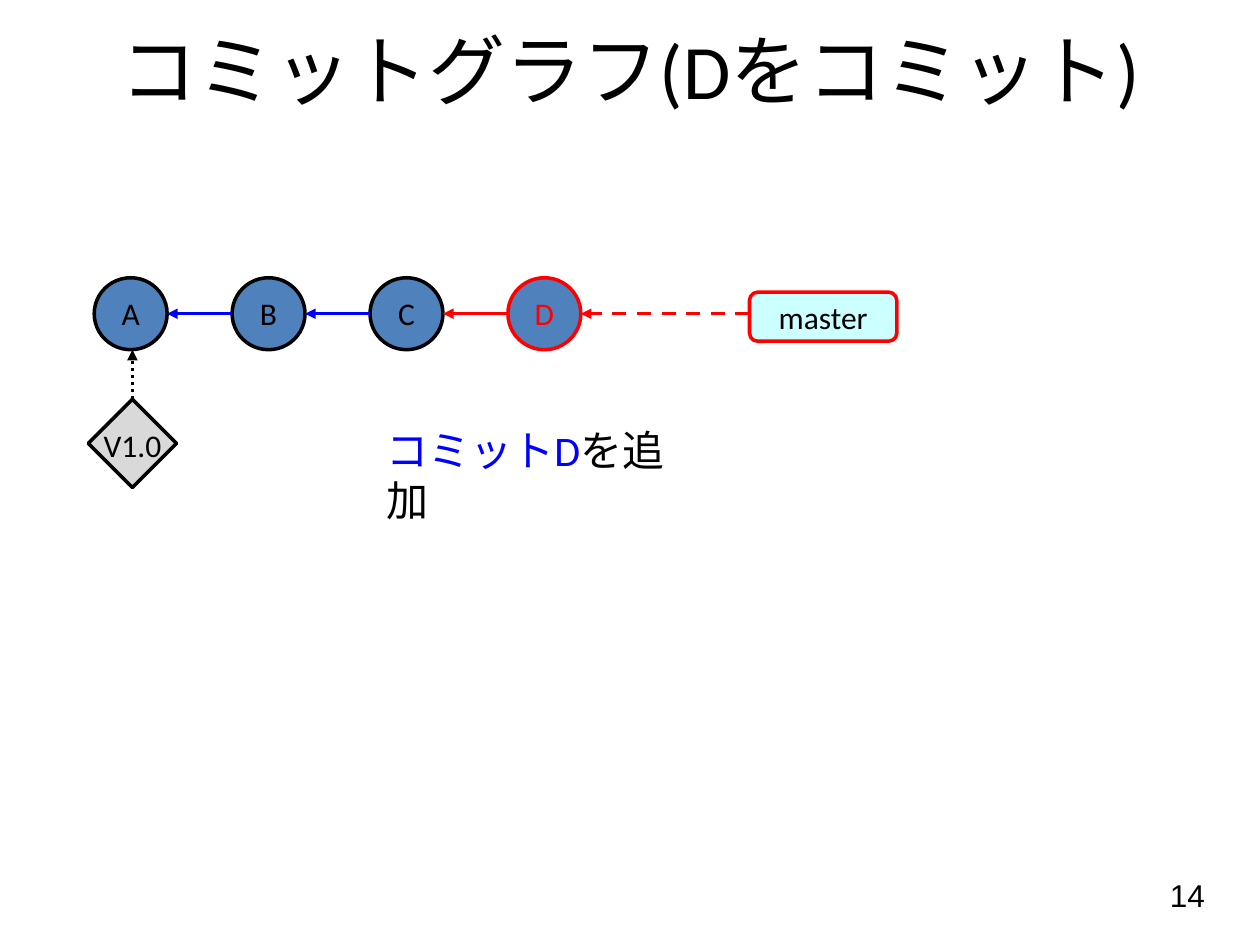
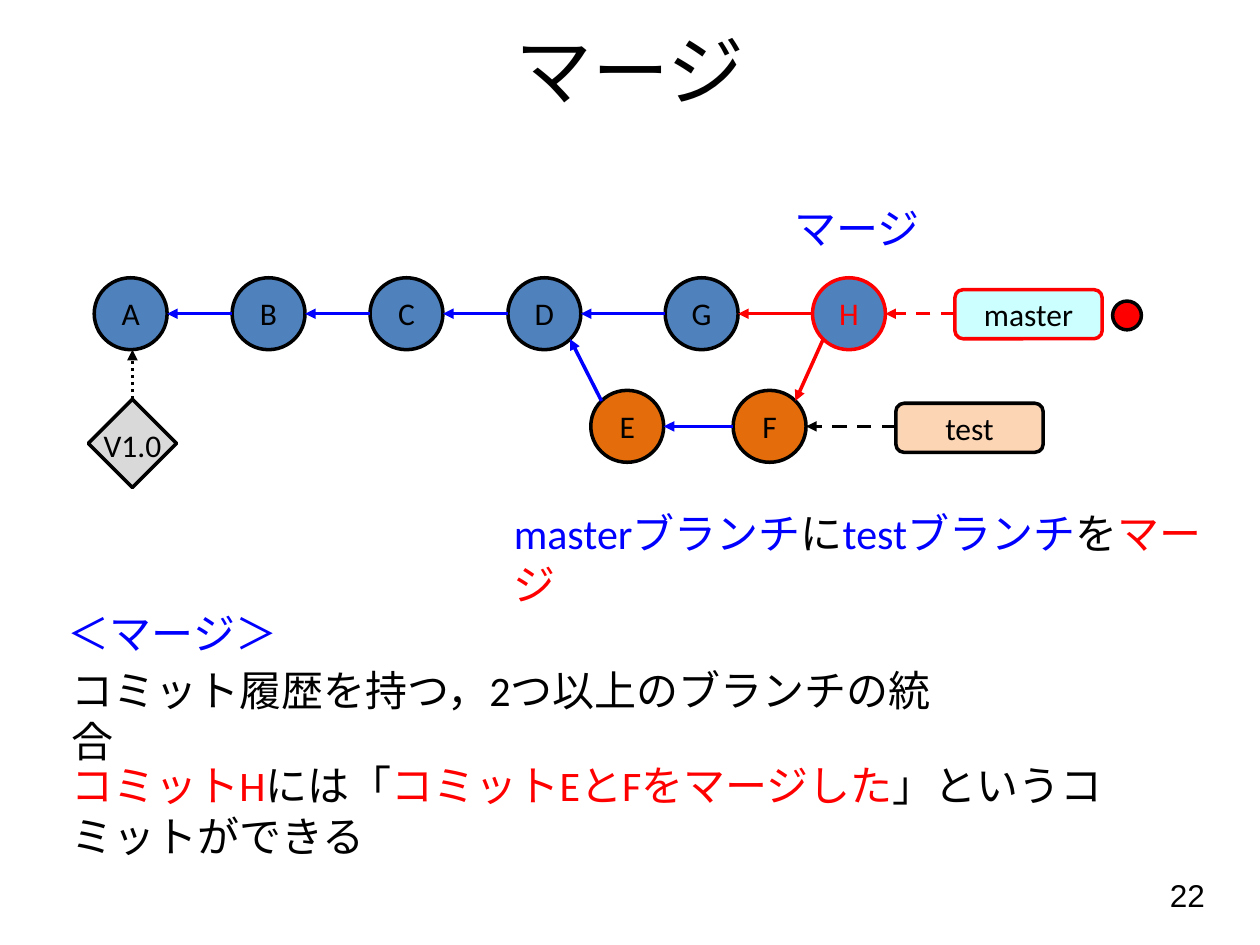
from dataclasses import dataclass
from typing import NamedTuple

import lxml.etree
import pptx
import pptx.dml.color
import pptx.enum.dml
import pptx.enum.lang
import pptx.enum.shapes
import pptx.enum.text
import pptx.oxml.ns
import pptx.util

Cm = pptx.util.Cm
SHAPE = pptx.enum.shapes.MSO_SHAPE
ALIGN = pptx.enum.text.PP_ALIGN
ANCHOR = pptx.enum.text.MSO_ANCHOR
DASH = pptx.enum.dml.MSO_LINE


@dataclass(frozen=True)
class Theme:
    black: str = "000000"
    blue: str = "0000FF"
    red: str = "FF0000"
    commit: str = "4F81BD"
    test_commit: str = "E46C0A"
    master: str = "CCFFFF"
    test: str = "FCD5B5"
    tag: str = "D9D9D9"
    font: str = "Calibri"
    number_font: str = "Arial"
    title_size: int = 44
    body_size: int = 24
    label_size: int = 18
    line_width: int = 2


THEME = Theme()


# Lengths below are centimetres
class Area(NamedTuple):
    left: float
    top: float
    width: float
    height: float


class Point(NamedTuple):
    x: float
    y: float


class Span(NamedTuple):
    text: str
    colour: str = THEME.black


@dataclass(frozen=True)
class Commit:
    name: str
    left: float
    top: float
    fill: str = THEME.commit
    width: float = 1.47
    height: float = 1.45

    def rim(self, across: float, down: float) -> Point:
        """Point on the outline in the direction (across, down)."""
        length = (across ** 2 + down ** 2) ** 0.5
        return Point(self.left + self.width / 2 * (1 + across / length),
                     self.top + self.height / 2 * (1 + down / length))


@dataclass(frozen=True)
class Branch:
    name: str
    left: float
    top: float
    fill: str
    colour: str
    commit: str


@dataclass(frozen=True)
class Note:
    area: Area
    spans: tuple[Span, ...]
    align: ALIGN = ALIGN.LEFT
    wrap: bool = True


# Commit positions: A to D stand at equal gaps, E and F form the lower row
MAIN_TOP, TEST_TOP = 5.6, 7.87
COMMITS = {
    commit.name: commit
    for commit in (
        *(Commit(name, 1.9 + 2.78 * i, MAIN_TOP) for i, name in enumerate("ABCD")),
        Commit("G", 13.41, MAIN_TOP),
        Commit("H", 16.38, MAIN_TOP),
        Commit("E", 11.91, TEST_TOP, THEME.test_commit),
        Commit("F", 14.78, TEST_TOP, THEME.test_commit),
    )
}
TITLE_AREA = Area(0, -0.2, 25.4, 3.18)
NUMBER_AREA = Area(18.62, 17.53, 5.92, 1.32)
TAG_AREA = Area(1.78, 8.05, 1.78, 1.78)
TAG_TEXT_AREA = Area(1.78, 8.46, 1.78, 1.02)


def rgb(colour: str) -> pptx.dml.color.RGBColor:
    return pptx.dml.color.RGBColor.from_string(colour)


def write(shape, spans: tuple[Span, ...], size: int, align=ALIGN.CENTER,
          anchor=ANCHOR.TOP, font: str = THEME.font, wrap: bool = True) -> None:
    frame = shape.text_frame
    frame.word_wrap = wrap
    frame.vertical_anchor = anchor
    para = frame.paragraphs[0]
    para.alignment = align
    for span in spans:
        run = para.add_run()
        run.text = span.text
        run.font.size = pptx.util.Pt(size)
        run.font.name = font
        run.font.color.rgb = rgb(span.colour)
        run.font.language_id = pptx.enum.lang.MSO_LANGUAGE_ID.JAPANESE


def add_text(page, area: Area, spans: tuple[Span, ...], size: int, **style) -> None:
    box = page.shapes.add_textbox(*map(Cm, area))
    write(box, spans, size, **style)


def add_outlined(page, kind: SHAPE, area: Area, fill: str, line: str = THEME.black):
    shape = page.shapes.add_shape(kind, *map(Cm, area))
    shape.shadow.inherit = False
    shape.fill.solid()
    shape.fill.fore_color.rgb = rgb(fill)
    shape.line.color.rgb = rgb(line)
    shape.line.width = pptx.util.Pt(THEME.line_width)
    return shape


def add_arrow(page, start: Point, tip: Point, colour: str, dash=None) -> None:
    arrow = page.shapes.add_connector(
        pptx.enum.shapes.MSO_CONNECTOR.STRAIGHT, *map(Cm, (*start, *tip)))
    arrow.line.color.rgb = rgb(colour)
    arrow.line.width = pptx.util.Pt(THEME.line_width)
    if dash is not None:
        arrow.line.dash_style = dash
    qn = pptx.oxml.ns.qn
    properties = arrow.element.spPr
    lxml.etree.SubElement(properties.find(qn("a:ln")), qn("a:tailEnd"), type="triangle")
    lxml.etree.SubElement(properties, qn("a:effectLst"))


def add_commit(page, commit: Commit, colour: str) -> None:
    area = Area(commit.left, commit.top, commit.width, commit.height)
    circle = add_outlined(page, SHAPE.OVAL, area, commit.fill, colour)
    write(circle, (Span(commit.name, colour),), THEME.label_size)


def add_link(page, child: Commit, parent: Commit, colour: str) -> None:
    """Arrow from a commit to its parent, along the row or diagonally."""
    down = (parent.top > child.top) - (parent.top < child.top)
    add_arrow(page, child.rim(-1, down), parent.rim(1, -down), colour)


def add_branch(page, branch: Branch) -> None:
    area = Area(branch.left, branch.top, 2.97, 0.99)
    label = add_outlined(page, SHAPE.ROUNDED_RECTANGLE, area, branch.fill, branch.colour)
    write(label, (Span(branch.name),), THEME.label_size, anchor=ANCHOR.MIDDLE)
    tip = COMMITS[branch.commit].rim(1, 0)
    add_arrow(page, Point(branch.left, tip.y), tip, branch.colour, DASH.DASH)


def add_tag(page) -> None:
    add_outlined(page, SHAPE.DIAMOND, TAG_AREA, THEME.tag)
    add_text(page, TAG_TEXT_AREA, (Span("V1.0"),), THEME.label_size,
             align=ALIGN.CENTER)
    middle = TAG_AREA.left + TAG_AREA.width / 2
    tip = COMMITS["A"].rim(0, 1)
    add_arrow(page, Point(middle, TAG_AREA.top), Point(middle, tip.y),
              THEME.black, DASH.ROUND_DOT)


def add_graph_page(deck, title: str, number: int, links: tuple[str, ...],
                   newest: str, branches: tuple[Branch, ...],
                   notes: tuple[Note, ...]):
    """Page with a commit graph; links are child-parent pairs such as "BA"."""
    page = deck.slides.add_slide(deck.slide_layouts[6])
    add_text(page, NUMBER_AREA, (Span(str(number)),), THEME.label_size,
             align=ALIGN.RIGHT, font=THEME.number_font)
    add_text(page, TITLE_AREA, (Span(title),), THEME.title_size,
             align=ALIGN.CENTER, anchor=ANCHOR.MIDDLE)

    # Commits, then the arrows to their parents
    for name in sorted(set("".join(links))):
        add_commit(page, COMMITS[name], THEME.red if name == newest else THEME.black)
    for child, parent in links:
        add_link(page, COMMITS[child], COMMITS[parent],
                 THEME.red if child == newest else THEME.blue)

    # Tag, branches and explanations
    add_tag(page)
    for branch in branches:
        add_branch(page, branch)
    for note in notes:
        add_text(page, note.area, note.spans, THEME.body_size,
                 align=note.align, wrap=note.wrap)
    return page


def main() -> None:
    deck = pptx.Presentation()
    deck.slide_width, deck.slide_height = Cm(25.4), Cm(19.05)

    # Committing D
    add_graph_page(
        deck, "コミットグラフ(Dをコミット)", 14, ("BA", "CB", "DC"), "D",
        (Branch("master", 15.11, 5.89, THEME.master, THEME.red, "D"),),
        (Note(Area(7.54, 8.43, 6.76, 2.29),
              (Span("コミットD", THEME.blue), Span("を追加"))),),
    )

    # Merging the test branch
    merge_page = add_graph_page(
        deck, "マージ", 22, ("BA", "CB", "DC", "GD", "HG", "ED", "FE", "HF"), "H",
        (Branch("master", 19.25, 5.84, THEME.master, THEME.red, "H"),
         Branch("test", 18.06, 8.13, THEME.test, THEME.black, "F")),
        (Note(Area(14.3, 3.96, 5.94, 1.27), (Span("マージ", THEME.blue),), ALIGN.CENTER),
         Note(Area(10.11, 10.11, 14.68, 2.29),
              (Span("masterブランチ", THEME.blue), Span("に"),
               Span("testブランチ", THEME.blue), Span("を"),
               Span("マージ", THEME.red))),
         Note(Area(1.12, 12.12, 4.72, 1.27), (Span("＜マージ＞", THEME.blue),), wrap=False),
         Note(Area(1.19, 13.28, 17.86, 2.29),
              (Span("コミット履歴を持つ，2つ以上のブランチの統合"),)),
         Note(Area(1.19, 15.19, 21.82, 2.29),
              (Span("コミットH", THEME.red), Span("には「"),
               Span("コミットEとFをマージした", THEME.red),
               Span("」というコミットができる")))),
    )
    # Marker of the current branch
    add_outlined(merge_page, SHAPE.OVAL, Area(22.43, 6.07, 0.58, 0.58), THEME.red)

    deck.save("out.pptx")


if __name__ == "__main__":
    main()
